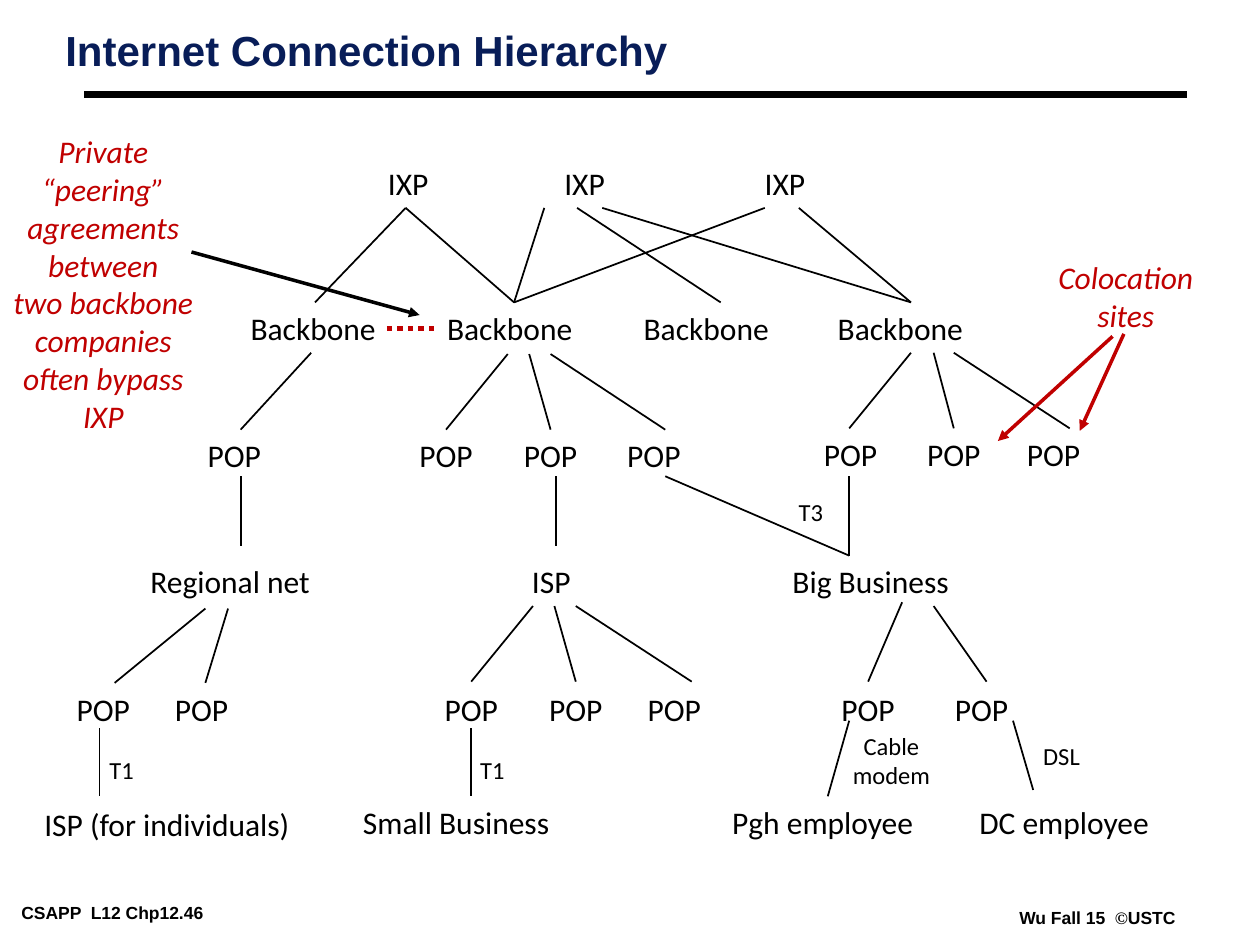
from dataclasses import dataclass
from typing import Optional

from lxml.etree import SubElement
from pptx import Presentation
from pptx.dml.color import RGBColor
from pptx.enum.dml import MSO_LINE
from pptx.enum.shapes import MSO_CONNECTOR
from pptx.enum.text import MSO_ANCHOR, MSO_AUTO_SIZE, PP_ALIGN
from pptx.oxml.ns import qn
from pptx.util import Cm, Pt

GRID_CM = 2.54  # the slide is a grid of 10 by 7.5 units
BLACK, NAVY, RED = "000000", "081D58", "C00000"
MIDDLE, TOP = MSO_ANCHOR.MIDDLE, MSO_ANCHOR.TOP
CENTER, LEFT = PP_ALIGN.CENTER, PP_ALIGN.LEFT


@dataclass
class Style:
    font: dict
    color: str = BLACK
    anchor: MSO_ANCHOR = MIDDLE
    align: PP_ALIGN = CENTER
    inset: tuple[float, float] = (0.05, 0.05)  # narrow sides keep each line whole
    spacing: Optional[float] = None


@dataclass
class Label:
    text: str
    left: float
    top: float
    width: float
    height: float
    style: Style


@dataclass
class NodeRow:
    top: float
    nodes: list[tuple[str, float]]  # text, left


@dataclass
class LinkTier:
    top: float
    bottom: float
    ends: list[tuple[float, float]]  # x at the top, x at the bottom


@dataclass
class Line:
    start: tuple[float, float]
    end: tuple[float, float]
    color: str = BLACK
    weight: float = 1
    arrow: bool = False
    dash: Optional[MSO_LINE] = None


NODE = Style({"name": "Calibri", "size": Pt(18)})
SPEED = Style({"name": "Calibri", "size": Pt(14)})
NOTE = Style({"name": "Calibri", "size": Pt(18), "italic": True}, RED, TOP)
TITLE = Style({"name": "Arial", "size": Pt(24), "bold": True}, NAVY, TOP, LEFT, (0.1, 0.05), 0.87)
FOOTER = Style({"name": "Arial", "size": Pt(10), "bold": True}, BLACK, TOP, LEFT, (0.07, 0.03))

NODE_HEIGHT = 0.4
NODE_WIDTHS = {
    "IXP": 0.52, "Backbone": 1.19, "POP": 0.62, "POP ": 0.68, "ISP": 0.51,
    "Regional net ": 1.53, "Big Business": 1.44, "Small Business": 1.68,
    "Pgh employee": 1.64, "DC employee": 1.55, "ISP (for individuals)": 2.15,
}

NODE_ROWS = [
    NodeRow(1.25, [("IXP", 2.98), ("IXP", 4.38), ("IXP", 5.97)]),
    NodeRow(2.4, [("Backbone", left) for left in (1.89, 3.45, 5.01, 6.55)]),
    NodeRow(3.41, [("POP", left) for left in (1.55, 3.23, 4.06, 4.88)]),
    NodeRow(3.4, [("POP", 6.44), ("POP", 7.26), ("POP ", 8.05)]),
    NodeRow(4.41, [("Regional net ", 1.09), ("ISP", 4.12), ("Big Business", 6.19)]),
    NodeRow(5.43, [("POP", left) for left in (0.51, 1.29, 3.43, 4.26, 6.58, 7.48)]
            + [("POP ", 5.04)]),
    NodeRow(6.32, [("Small Business", 2.78), ("Pgh employee", 5.71), ("DC employee", 7.67)]),
    NodeRow(6.34, [("ISP (for individuals)", 0.25)]),
]

LINK_TIERS = [
    # exchange points to backbones
    LinkTier(1.65, 2.4, [(3.22, 2.5), (3.22, 4.08), (4.32, 4.08), (4.58, 5.72),
                         (4.78, 7.23), (6.07, 4.08), (6.34, 7.23)]),
    # backbones to their POPs
    LinkTier(2.8, 3.41, [(2.47, 1.91)]),
    LinkTier(2.81, 3.41, [(4.03, 3.54), (4.2, 4.37), (4.37, 5.28)]),
    LinkTier(2.8, 3.4, [(7.23, 6.74), (7.41, 7.57), (7.57, 8.49)]),
    # POPs to customers
    LinkTier(3.78, 4.33, [(1.91, 1.91), (4.41, 4.41)]),
    LinkTier(3.78, 4.41, [(5.28, 6.74), (6.74, 6.74)]),
    # customers to their POPs
    LinkTier(4.83, 5.42, [(1.63, 0.91), (1.81, 1.63)]),
    LinkTier(4.81, 5.41, [(4.23, 3.74), (4.4, 4.57), (4.57, 5.49), (7.41, 7.83)]),
    LinkTier(4.78, 5.41, [(7.16, 6.89)]),
    # POPs to end users
    LinkTier(5.78, 6.32, [(0.79, 0.79), (3.74, 3.74)]),
    LinkTier(5.72, 6.32, [(6.74, 6.57)]),
    LinkTier(5.72, 6.27, [(8.04, 8.2)]),
]

LABELS = [
    Label("CSAPP  L12 Chp12.46", 0.1, 7.13, 2.1, 0.22, FOOTER),
    Label("Wu Fall 15  ©USTC", 8.02, 7.17, 1.38, 0.22, FOOTER),
    Label("Internet Connection Hierarchy", 0.42, 0.2, 8.25, 0.63, TITLE),
    Label("T3", 6.24, 3.9, 0.39, 0.33, SPEED),
    Label("T1", 0.77, 5.94, 0.39, 0.33, SPEED),
    Label("T1 ", 3.71, 5.94, 0.44, 0.33, SPEED),
    Label("Cable\nmodem", 6.67, 5.75, 0.81, 0.57, SPEED),
    Label("DSL", 8.18, 5.83, 0.49, 0.33, SPEED),
    Label("Colocation\nsites", 8.3, 2, 1.27, 0.7, NOTE),
    Label("Private\n“peering”\nagreements\nbetween\ntwo backbone\ncompanies\noften bypass\nIXP",
          0.01, 1, 1.62, 2.5, NOTE),
]

ACCENTS = [
    Line((0.67, 0.75), (9.42, 0.75), weight=4.5),
    Line((3.07, 2.61), (3.48, 2.61), RED, 3, dash=MSO_LINE.ROUND_DOT),
    Line((1.52, 2), (3.33, 2.5), weight=2, arrow=True),
    Line((8.92, 2.65), (8.57, 3.42), RED, 2, arrow=True),
    Line((8.83, 2.67), (7.92, 3.5), RED, 2, arrow=True),
]


def grid(units: float) -> Cm:
    return Cm(units * GRID_CM)


def paint(target, color: str) -> None:
    target.rgb = RGBColor.from_string(color)


def draw_label(slide, label: Label) -> None:
    style = label.style
    box = slide.shapes.add_textbox(*map(grid, (label.left, label.top, label.width, label.height)))
    across, down = map(grid, style.inset)
    frame_format = {
        "margin_left": across, "margin_right": across, "margin_top": down, "margin_bottom": down,
        "word_wrap": style is TITLE, "vertical_anchor": style.anchor,
        "auto_size": MSO_AUTO_SIZE.SHAPE_TO_FIT_TEXT,
    }
    frame = box.text_frame
    for name, value in frame_format.items():
        setattr(frame, name, value)
    for number, words in enumerate(label.text.split("\n")):
        paragraph = frame.add_paragraph() if number else frame.paragraphs[0]
        paragraph.alignment = style.align
        paragraph.line_spacing = style.spacing
        # the copyright sign has its own typeface
        for part in filter(None, words.partition("©")):
            run = paragraph.add_run()
            run.text = part
            for name, value in style.font.items():
                setattr(run.font, name, value)
            if part == "©":
                run.font.name = "Times New Roman"
            paint(run.font.color, style.color)


def draw_line(slide, line: Line) -> None:
    connector = slide.shapes.add_connector(
        MSO_CONNECTOR.STRAIGHT, *map(grid, line.start + line.end))
    connector.line.width = Pt(line.weight)
    paint(connector.line.color, line.color)
    if line.dash:
        connector.line.dash_style = line.dash
    properties = connector._element.spPr
    if line.arrow:
        SubElement(properties.find(qn("a:ln")), qn("a:tailEnd"), type="triangle")
    SubElement(properties, qn("a:effectLst"))


def main() -> None:
    deck = Presentation()
    deck.slide_width, deck.slide_height = grid(10), grid(7.5)
    slide = deck.slides.add_slide(deck.slide_layouts[6])

    # Network links
    for tier in LINK_TIERS:
        for upper, lower in tier.ends:
            draw_line(slide, Line((upper, tier.top), (lower, tier.bottom)))

    # Network nodes
    for row in NODE_ROWS:
        for text, left in row.nodes:
            draw_label(slide, Label(text, left, row.top, NODE_WIDTHS[text], NODE_HEIGHT, NODE))

    # Title, footers, speeds and notes
    for label in LABELS:
        draw_label(slide, label)

    # Title rule, peering link and arrows
    for accent in ACCENTS:
        draw_line(slide, accent)

    deck.save("out.pptx")


if __name__ == "__main__":
    main()
